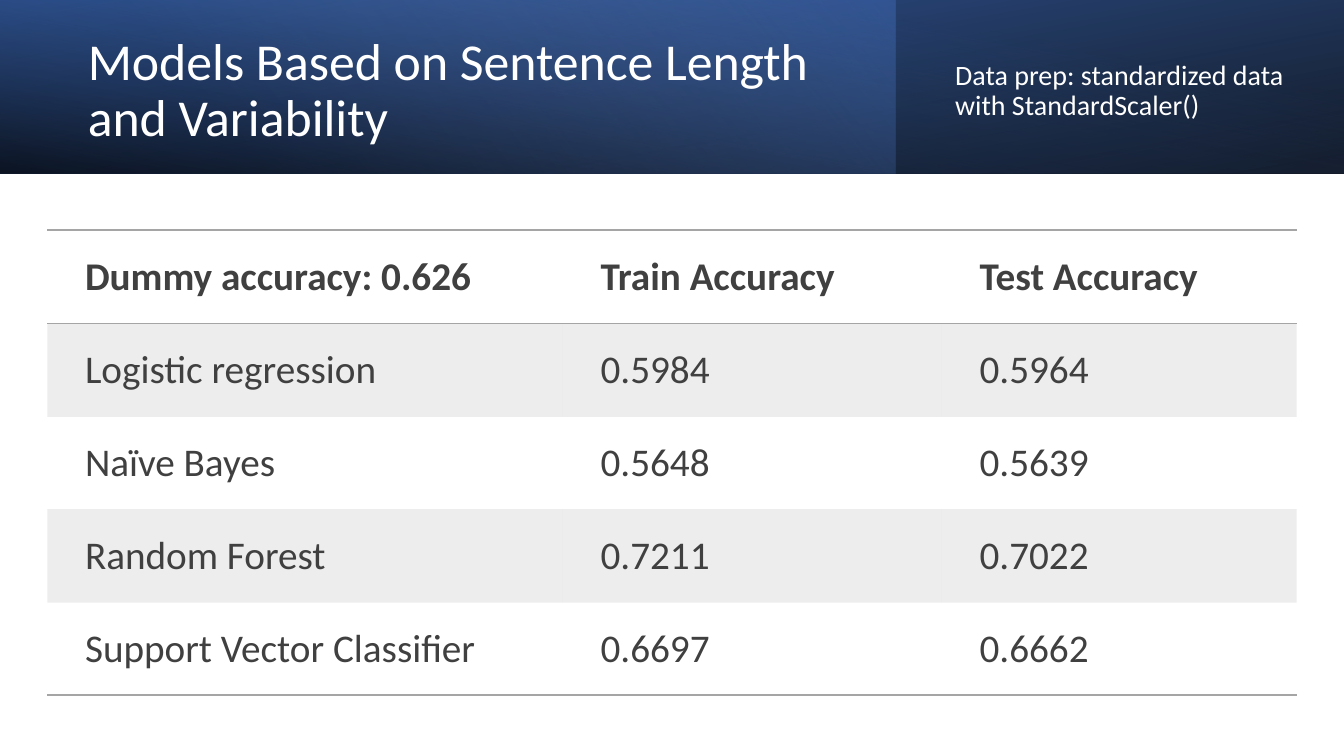
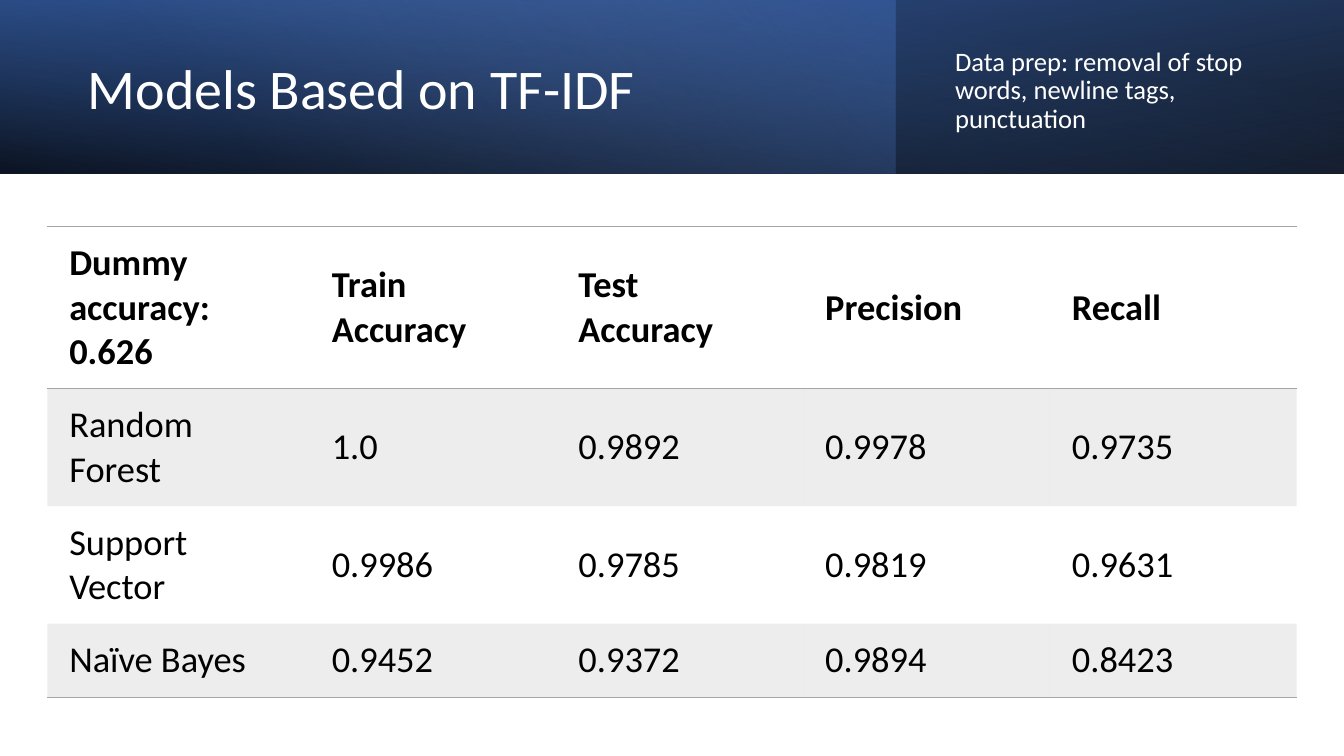
"""Build two slides that compare model accuracy in tables under a shared gradient header."""
from lxml.etree import SubElement
from pptx import Presentation
from pptx.dml.color import RGBColor
from pptx.enum.shapes import MSO_SHAPE
from pptx.enum.text import MSO_ANCHOR, MSO_AUTO_SIZE, PP_ALIGN
from pptx.oxml import parse_xml
from pptx.oxml.ns import nsdecls, qn
from pptx.util import Pt

PX = 9525
SLIDE_WIDTH, SLIDE_HEIGHT = 1280, 720
HEADER_HEIGHT = 165
TITLE_BOX = (74, 26, 741, 122)
PREP_BOX = (900, 41, 340, 92)
TABLE_LEFT = 45
FONT = "Calibri"
COLORS = {
    "black": "000000",
    "navy": "2F5597",
    "blue": "4472C4",
    "pale blue": "8FAADC",
    "white": "FFFFFF",
    "charcoal": "404040",
    "gray": "A5A5A5",
}
STRIPE_OPACITY = 20

HEADER_BANDS = [
    {"width": 1280, "rotation": 180, "flip": True, "angle": 100,
     "stops": [(0, "black", 96), (100, "navy", 100)]},
    {"width": 853, "rotation": 0, "flip": False, "angle": 140,
     "stops": [(0, "blue", 41), (74, "pale blue", 0)]},
    {"width": 1280, "rotation": 0, "flip": True, "angle": 260,
     "stops": [(0, "black", 63), (78, "blue", 15)]},
]

SLIDES = [
    {
        "title": ("Models Based on Sentence Length and Variability", 37),
        "prep": ("Data prep: standardized data with StandardScaler()", 20),
        "top": 219,
        "columns": [491, 361, 338],
        "row_heights": [89, 89, 88, 89, 88],
        "margins": (36, 18),
        "size": 28,
        "color": "charcoal",
        "rows": [
            ("Dummy accuracy: 0.626", "Train Accuracy", "Test Accuracy"),
            ("Logistic regression", "0.5984", "0.5964"),
            ("Naïve Bayes", "0.5648", "0.5639"),
            ("Random Forest", "0.7211", "0.7022"),
            ("Support Vector Classifier", "0.6697", "0.6662"),
        ],
    },
    {
        "title": ("Models Based on TF-IDF", 40),
        "prep": ("Data prep: removal of stop words, newline tags, punctuation", 19),
        "top": 216,
        "columns": [250, 235, 235, 235, 235],
        "row_heights": [154, 112, 112, 70],
        "margins": (21, 10),
        "size": 26,
        "color": "black",
        "rows": [
            ("Dummy accuracy: 0.626", "Train Accuracy", "Test Accuracy", "Precision", "Recall"),
            ("Random Forest", "1.0", "0.9892", "0.9978", "0.9735"),
            ("Support Vector", "0.9986", "0.9785", "0.9819", "0.9631"),
            ("Naïve Bayes", "0.9452", "0.9372", "0.9894", "0.8423"),
        ],
    },
]


def style_font(font, size, color, bold=False):
    font.name = FONT
    font.size = Pt(size)
    font.bold = bold
    font.color.rgb = RGBColor.from_string(COLORS[color])


def add_header_bands(slide):
    for depth, band in enumerate(HEADER_BANDS):
        shape = slide.shapes.add_shape(
            MSO_SHAPE.RECTANGLE, 0, 0, band["width"] * PX, HEADER_HEIGHT * PX)
        shape.shadow.inherit = False
        shape.line.fill.background()
        shape.rotation = band["rotation"]
        properties = shape._element.spPr
        if band["flip"]:
            properties.find(qn("a:xfrm")).set("flipH", "1")
        stops = "".join(
            f'<a:gs pos="{position * 1000}"><a:srgbClr val="{COLORS[color]}">'
            f'<a:alpha val="{opacity * 1000}"/></a:srgbClr></a:gs>'
            for position, color, opacity in band["stops"])
        properties.insert(2, parse_xml(
            f'<a:gradFill {nsdecls("a")} rotWithShape="1"><a:gsLst>{stops}</a:gsLst>'
            f'<a:lin ang="{band["angle"] * 60000}" scaled="0"/></a:gradFill>'))
        slide.shapes._spTree.insert(2 + depth, shape._element)


def fill_placeholder(placeholder, box, text, size):
    placeholder.left, placeholder.top, placeholder.width, placeholder.height = (
        length * PX for length in box)
    frame = placeholder.text_frame
    frame.text = text
    frame.word_wrap = True
    frame.auto_size = MSO_AUTO_SIZE.NONE
    frame.vertical_anchor = MSO_ANCHOR.MIDDLE
    paragraph = frame.paragraphs[0]
    paragraph.alignment = PP_ALIGN.LEFT
    paragraph.line_spacing = 0.9
    paragraph.space_before = Pt(0)
    properties = paragraph._p.get_or_add_pPr()
    properties.set("marL", "0")
    properties.set("indent", "0")
    SubElement(properties, qn("a:buNone"))
    style_font(paragraph.runs[0].font, size, "white")


def set_borders(cell, ruled_sides):
    properties = cell._tc.get_or_add_tcPr()
    for order, side in enumerate("LRTB"):
        paint = (f'<a:solidFill><a:srgbClr val="{COLORS["gray"]}"/></a:solidFill>'
                 if side in ruled_sides else "<a:noFill/>")
        properties.insert(order, parse_xml(
            f'<a:ln{side} {nsdecls("a")} w="{Pt(1)}">{paint}</a:ln{side}>'))


def fill_cell(cell, text, row, last_row, content):
    cell.text = text
    cell.vertical_anchor = MSO_ANCHOR.MIDDLE
    side_margin, end_margin = content["margins"]
    cell.margin_left = cell.margin_right = side_margin * PX
    cell.margin_top = cell.margin_bottom = end_margin * PX
    style_font(cell.text_frame.paragraphs[0].runs[0].font,
               content["size"], content["color"], bold=row == 0)
    if row % 2:
        cell.fill.solid()
        cell.fill.fore_color.rgb = RGBColor.from_string(COLORS["gray"])
        stripe = cell._tc.tcPr.find(qn("a:solidFill")).find(qn("a:srgbClr"))
        SubElement(stripe, qn("a:alpha")).set("val", str(STRIPE_OPACITY * 1000))
    else:
        cell.fill.background()
    set_borders(cell, ("T" if row <= 1 else "") + ("B" if row in (0, last_row) else ""))


def add_scores(slide, content):
    rows, columns, heights = content["rows"], content["columns"], content["row_heights"]
    table = slide.shapes.add_table(
        len(rows), len(columns), TABLE_LEFT * PX, content["top"] * PX,
        sum(columns) * PX, sum(heights) * PX).table
    table.first_row = True
    table.horz_banding = False
    for column, width in zip(table.columns, columns):
        column.width = width * PX
    for row, (texts, height) in enumerate(zip(rows, heights)):
        table.rows[row].height = height * PX
        for column, text in enumerate(texts):
            fill_cell(table.cell(row, column), text, row, len(rows) - 1, content)


def main():
    deck = Presentation()
    deck.slide_width, deck.slide_height = SLIDE_WIDTH * PX, SLIDE_HEIGHT * PX
    for content in SLIDES:
        slide = deck.slides.add_slide(deck.slide_layouts[1])
        add_header_bands(slide)
        fill_placeholder(slide.shapes.title, TITLE_BOX, *content["title"])
        fill_placeholder(slide.placeholders[1], PREP_BOX, *content["prep"])
        add_scores(slide, content)
    deck.save("out.pptx")


if __name__ == "__main__":
    main()
